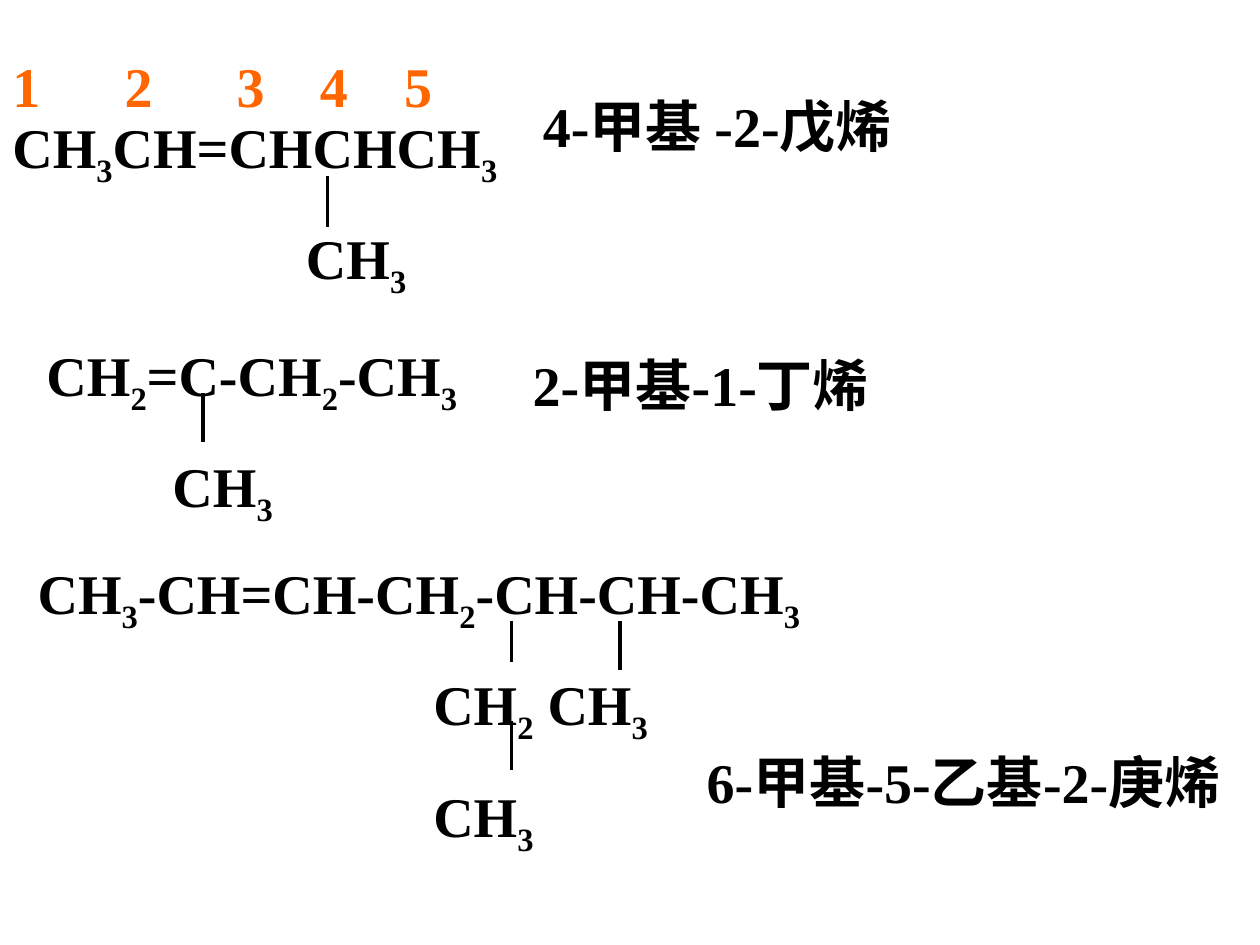
from dataclasses import dataclass
from itertools import groupby

from lxml import etree
from pptx import Presentation
from pptx import util as u
from pptx.dml.color import RGBColor
from pptx.enum import shapes, text
from pptx.oxml import ns

CELL = u.Inches(0.1)  # the slide is a grid of 100 columns by 75 rows


@dataclass(frozen=True)
class Theme:
    font: str = "Times New Roman"
    ink: str = "000000"
    accent: str = "FF6600"
    size: int = 32
    gap: int = 20
    bond: int = 2
    subscript: int = -25000


def cells(*counts):
    return [round(n * CELL) for n in counts]


class Board:
    def __init__(self, slide, theme):
        self.s, self.theme = slide, theme

    def _frame(self, parent, box):
        tf = parent.add_textbox(*cells(*box)).text_frame
        for name, value in {"word_wrap": True,
                            "auto_size": text.MSO_AUTO_SIZE.SHAPE_TO_FIT_TEXT,
                            "vertical_anchor": text.MSO_ANCHOR.TOP}.items():
            setattr(tf, name, value)
        return tf

    def _run(self, p, words, color=None):
        r = p.add_run()
        r.text = words
        for name, value in {"name": self.theme.font, "bold": True,
                            "size": u.Pt(self.theme.size)}.items():
            setattr(r.font, name, value)
        r.font.color.rgb = RGBColor.from_string(color or self.theme.ink)
        return r

    def _formula(self, p, formula):
        """Write a formula with its digits as subscripts."""
        for is_digit, chars in groupby(formula, str.isdigit):
            r = self._run(p, "".join(chars))
            if is_digit:
                r._r.get_or_add_rPr().set("baseline", str(self.theme.subscript))

    def _bond(self, parent, x, top, bottom):
        x, top, bottom = cells(x, top, bottom)
        line = parent.add_connector(shapes.MSO_CONNECTOR.STRAIGHT, x, top, x, bottom)
        line.line.color.rgb = RGBColor.from_string(self.theme.ink)
        line.line.width = u.Pt(self.theme.bond)
        etree.SubElement(line._element.spPr, ns.qn("a:effectLst"))

    def molecule(self, box, chain, branches, indent, bonds):
        """Group a main chain with its indented branches and vertical bonds."""
        group = self.s.shapes.add_group_shape().shapes
        tf = self._frame(group, box)
        self._formula(tf.paragraphs[0], chain)
        for branch in branches:
            p = tf.add_paragraph()
            p.space_before = u.Pt(self.theme.gap)
            pPr = p._p.get_or_add_pPr()
            pPr.set("marL", str(cells(indent)[0]))
            pPr.set("indent", "0")
            self._formula(p, branch)
        for bond in bonds:
            self._bond(group, *bond)

    def label(self, box, words):
        self._run(self._frame(self.s.shapes, box).paragraphs[0], words)

    def locants(self, box, numbers, stops):
        """Number the carbons, each at its own tab stop after the first."""
        p = self._frame(self.s.shapes, box).paragraphs[0]
        tabs = etree.SubElement(p._p.get_or_add_pPr(), ns.qn("a:tabLst"))
        for stop in cells(*stops):
            etree.SubElement(tabs, ns.qn("a:tab"), pos=str(stop), algn="l")
        self._run(p, "\t".join(numbers), self.theme.accent)


def main():
    prs = Presentation()
    prs.slide_width, prs.slide_height = cells(100, 75)
    board = Board(prs.slides.add_slide(prs.slide_layouts[6]), Theme())

    board.molecule((0, 8.4, 92.9, 15.9), "CH3CH=CHCHCH3", ["CH3"], 23.3,
                   [(26, 14, 18)])
    board.locants((0, 3.6, 69.7, 6.4), "12345", (8.9, 17.8, 24.4, 31.1))
    board.label((42.1, 6.8, 40.2, 6.4), "4-甲基 -2-戊烯")

    board.molecule((2.7, 26.5, 89.8, 15.9), "CH2=C-CH2-CH3", ["CH3"], 10,
                   [(16.1, 31.2, 35.1)])
    board.label((41.3, 27.3, 49.6, 6.4), "2-甲基-1-丁烯")

    board.molecule((2, 43.8, 83.5, 24.8), "CH3-CH=CH-CH2-CH-CH-CH3",
                   ["CH2 CH3", "CH3"], 31.4,
                   [(40.6, 49.3, 52.5), (40.6, 57.2, 61.1), (49.2, 49.3, 53.2)])
    board.label((55.1, 58.8, 44.9, 11.7), "6-甲基-5-乙基-2-庚烯")

    prs.save("out.pptx")


if __name__ == "__main__":
    main()
